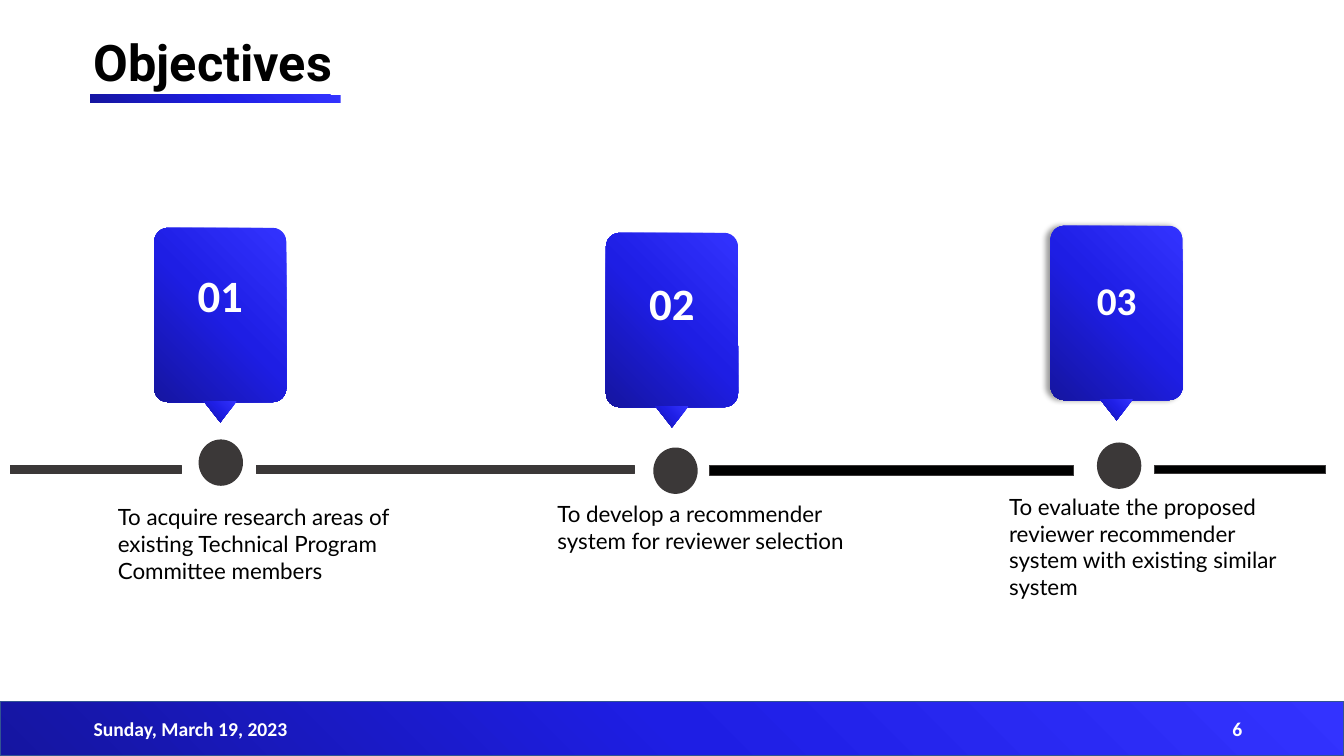
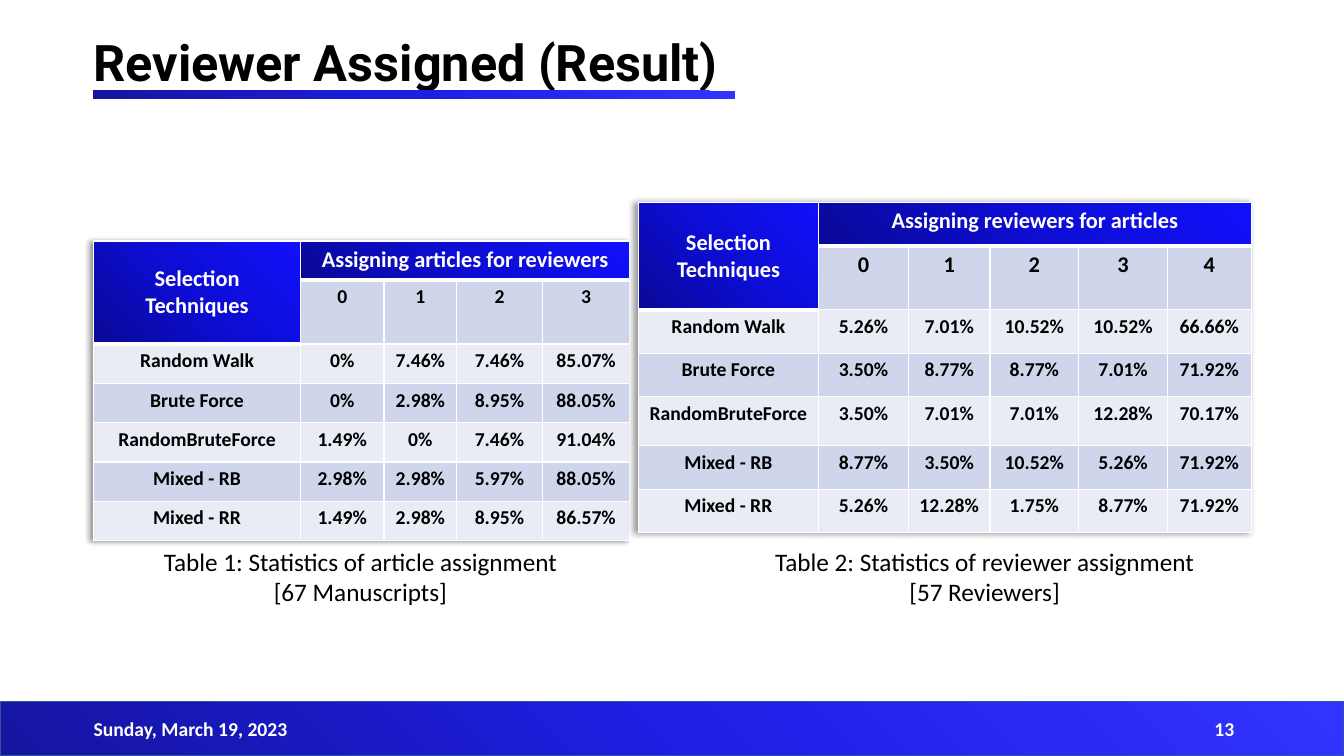
"""Build the objectives timeline and the reviewer assignment result slides."""
from pptx import Presentation
from pptx.dml.color import RGBColor
from pptx.enum.shapes import MSO_SHAPE as Shape
from pptx.enum.text import MSO_ANCHOR as Anchor, PP_ALIGN as Align
from pptx.oxml import parse_xml
from pptx.oxml.ns import nsdecls
from pptx.util import Inches, Pt

WHITE, BLACK, CHARCOAL, BAND_LINE = "FFFFFF", "000000", "3B3838", "325491"
BRIGHT = ("1515A0", "1E1EE4", "3333FF")
DEEP = ("090996", "0D0DD5", "1010FC")
STRIPES = ("E9EBF5", "CFD5EA")
DATE = "Sunday, March 19, 2023"

OBJECTIVES = [
    {"number": "01", "size": 32, "inset": 0.36, "badge": (1.53, 2.26), "dot": (1.97, 4.36),
     "text": "To acquire research areas of existing Technical Program Committee members",
     "note": (1.07, 4.94, 2.92, 1.18), "shadow": False},
    {"number": "02", "size": 32, "inset": 0.39, "badge": (6.01, 2.31), "dot": (6.48, 4.44),
     "text": "To develop a recommender system for reviewer selection",
     "note": (5.43, 4.91, 3.1, 0.91), "shadow": False},
    {"number": "03", "size": 28, "inset": 0.46, "badge": (10.42, 2.24), "dot": (10.88, 4.39),
     "text": "To evaluate the proposed reviewer recommender system with existing similar system",
     "note": (9.91, 4.84, 2.92, 1.18), "shadow": True},
]
TIMELINE_BARS = [
    (0.1, 1.7, 0.08, CHARCOAL, 0.75),
    (2.54, 3.75, 0.08, CHARCOAL, 0.75),
    (7.04, 3.61, 0.1, BLACK, 0.5),
    (11.45, 1.7, 0.08, BLACK, 0.75),
]
TECHNIQUES = ["Random Walk", "Brute Force", "RandomBruteForce", "Mixed - RB", "Mixed - RR"]
TABLES = [
    {"heading": "Assigning articles for reviewers", "count_size": 14,
     "place": (0.93, 2.39), "columns": [2.05, 0.83, 0.72, 0.85, 0.87], "rows": [0.39] * 7,
     "values": [
         ["0%", "7.46%", "7.46%", "85.07%"],
         ["0%", "2.98%", "8.95%", "88.05%"],
         ["1.49%", "0%", "7.46%", "91.04%"],
         ["2.98%", "2.98%", "5.97%", "88.05%"],
         ["1.49%", "2.98%", "8.95%", "86.57%"]],
     "caption": "Table 1: Statistics of article assignment\n[67 Manuscripts]", "caption_left": 1.08},
    {"heading": "Assigning reviewers for articles", "count_size": 16,
     "place": (6.33, 2.01), "columns": [1.79, 0.89, 0.81, 0.88, 0.88, 0.83],
     "rows": [0.43] * 4 + [0.49] + [0.43] * 2,
     "values": [
         ["5.26%", "7.01%", "10.52%", "10.52%", "66.66%"],
         ["3.50%", "8.77%", "8.77%", "7.01%", "71.92%"],
         ["3.50%", "7.01%", "7.01%", "12.28%", "70.17%"],
         ["8.77%", "3.50%", "10.52%", "5.26%", "71.92%"],
         ["5.26%", "12.28%", "1.75%", "8.77%", "71.92%"]],
     "caption": "Table 2: Statistics of reviewer assignment\n[57 Reviewers]", "caption_left": 7.27},
]


def rgb(color):
    return RGBColor.from_string(color)


def gradient(colors):
    stops = "".join(f'<a:gs pos="{index * 50000}"><a:srgbClr val="{color}"/></a:gs>'
                    for index, color in enumerate(colors))
    return parse_xml(f'<a:gradFill {nsdecls("a")} rotWithShape="1"><a:gsLst>{stops}</a:gsLst>'
                     '<a:path path="circle"><a:fillToRect t="100000" r="100000"/></a:path></a:gradFill>')


def left_shadow():
    return parse_xml(f'<a:effectLst {nsdecls("a")}><a:outerShdw blurRad="{Pt(4)}" dist="{Pt(3)}" '
                     'dir="10800000" algn="r" rotWithShape="0"><a:srgbClr val="000000">'
                     '<a:alpha val="40000"/></a:srgbClr></a:outerShdw></a:effectLst>')


def write(frame, text, size, color, font="Calibri", bold=False, align=Align.LEFT):
    frame.text = text
    for para in frame.paragraphs:
        para.alignment = align
        for span in para.runs:
            span.font.name, span.font.size, span.font.bold = font, Pt(size), bold
            span.font.color.rgb = rgb(color)


def add_text(page, place, text, size, color, anchor=Anchor.TOP, **style):
    frame = page.shapes.add_textbox(*map(Inches, place)).text_frame
    frame.word_wrap = True
    frame.vertical_anchor = anchor
    write(frame, text, size, color, **style)
    return frame


def add_block(shapes, kind, place, fill=BRIGHT, line=None, line_width=1, shadow=False):
    block = shapes.add_shape(kind, *map(Inches, place))
    properties = block._element.spPr
    if isinstance(fill, tuple):
        properties.append(gradient(fill))
    else:
        block.fill.solid()
        block.fill.fore_color.rgb = rgb(fill)
    if line:
        block.line.color.rgb = rgb(line)
        block.line.width = Pt(line_width)
    else:
        block.line.fill.background()
    if shadow:
        properties.append(left_shadow())
    else:
        block.shadow.inherit = False
    return block


def add_page(deck, title, title_width, underline, number, number_left):
    page = deck.slides.add_slide(deck.slide_layouts[6])
    add_block(page.shapes, Shape.RECTANGLE, (0, 6.96, 13.33, 0.54), line=BAND_LINE)
    heading = add_text(page, (0.83, 0.4, title_width, 0.54), title, 36, BLACK,
                       Anchor.BOTTOM, font="Roboto", bold=True)
    heading.paragraphs[0].line_spacing = 0.7
    add_block(page.shapes, Shape.RECTANGLE, underline)
    for left, text, align in [(0.83, DATE, Align.LEFT), (number_left, number, Align.RIGHT)]:
        add_text(page, (left, 7.03, 3, 0.4), text, 14, WHITE, Anchor.MIDDLE, bold=True, align=align)
    return page


def add_objective(page, objective):
    left, top = objective["badge"]
    group = page.shapes.add_group_shape()
    badge = add_block(group.shapes, Shape.ROUNDED_RECTANGLE, (left, top, 1.31, 1.73),
                      shadow=objective["shadow"])
    badge.adjustments[0] = 0.104
    frame = badge.text_frame
    frame.vertical_anchor = Anchor.TOP
    frame.margin_top = Inches(objective["inset"])
    write(frame, objective["number"], objective["size"], WHITE, bold=True, align=Align.CENTER)
    pointer = add_block(group.shapes, Shape.ISOSCELES_TRIANGLE, (left + 0.49, top + 1.72, 0.33, 0.21))
    pointer._element.spPr.xfrm.set("flipV", "1")
    add_block(page.shapes, Shape.OVAL, (*objective["dot"], 0.44, 0.46), CHARCOAL)
    add_text(page, objective["note"], objective["text"], 16, BLACK, font="Lato")


def add_borders(cell, row, column):
    heavy = {"B": row == 0 or (row, column) == (1, 0), "T": row == 1}
    for side in "LRTB":
        width = Pt(3 if heavy.get(side) else 1)
        cell._tc.get_or_add_tcPr().append(parse_xml(
            f'<a:ln{side} {nsdecls("a")} w="{width}"><a:solidFill><a:srgbClr val="{WHITE}"/>'
            f'</a:solidFill></a:ln{side}>'))


def add_statistics(page, data):
    widths, heights = data["columns"], data["rows"]
    size = (sum(widths), sum(heights))
    table = page.shapes.add_table(len(heights), len(widths),
                                  *map(Inches, data["place"] + size)).table
    table.first_row = table.horz_banding = False
    table._tbl.tblPr.insert(0, left_shadow())
    for column, width in zip(table.columns, widths):
        column.width = Inches(width)
    for row, height in zip(table.rows, heights):
        row.height = Inches(height)
    table.cell(0, 0).merge(table.cell(1, 0))
    table.cell(0, 1).merge(table.cell(0, len(widths) - 1))
    counts = [str(count) for count in range(len(widths) - 1)]
    grid = [["Selection\nTechniques", data["heading"]] + [""] * (len(widths) - 2), [""] + counts]
    grid += [[name] + values for name, values in zip(TECHNIQUES, data["values"])]
    for row, texts in enumerate(grid):
        for column, text in enumerate(texts):
            cell = table.cell(row, column)
            header = row == 0 or (row, column) == (1, 0)
            add_borders(cell, row, column)
            if header:
                cell._tc.get_or_add_tcPr().append(gradient(DEEP))
            else:
                cell.fill.solid()
                cell.fill.fore_color.rgb = rgb(STRIPES[row % 2])
            if not cell.is_spanned:
                points = 16 if header else data["count_size"] if row == 1 else 14
                write(cell.text_frame, text, points, WHITE if header else BLACK,
                      bold=True, align=Align.CENTER)
    table.cell(0, 0).vertical_anchor = Anchor.MIDDLE
    add_text(page, (data["caption_left"], 5.37, 4.99, 0.71), data["caption"], 18, BLACK,
             align=Align.CENTER)


def main():
    deck = Presentation()
    deck.slide_width, deck.slide_height = Inches(13.33), Inches(7.5)
    page = add_page(deck, "Objectives", 11.5, (0.9, 0.94, 2.48, 0.08), "6", 9.42)
    for left, width, height, color, line_width in TIMELINE_BARS:
        add_block(page.shapes, Shape.RECTANGLE, (left, 4.62, width, height), color, CHARCOAL, line_width)
    for objective in OBJECTIVES:
        add_objective(page, objective)
    page = add_page(deck, "Reviewer Assigned (Result)", 7.05, (0.93, 0.9, 6.36, 0.08), "13", 9.34)
    for data in TABLES:
        add_statistics(page, data)
    deck.save("out.pptx")


if __name__ == "__main__":
    main()
